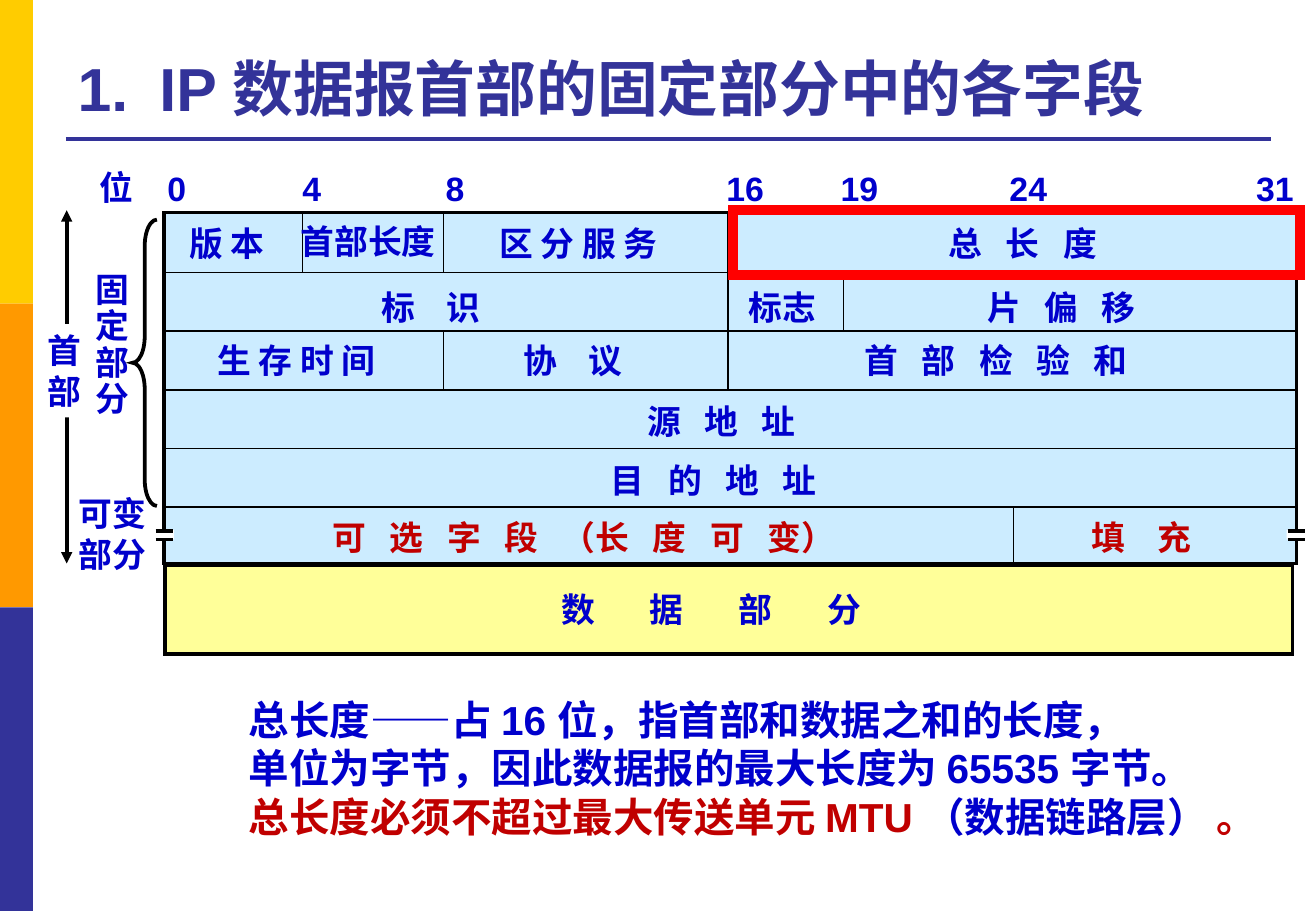
"""Draw the IP datagram header layout with its total length field highlighted."""
from dataclasses import dataclass

from lxml import etree
from pptx import Presentation
from pptx.dml.color import RGBColor
from pptx.enum.shapes import MSO_CONNECTOR, MSO_SHAPE
from pptx.enum.text import MSO_ANCHOR, MSO_AUTO_SIZE
from pptx.oxml.ns import qn
from pptx.util import Inches, Pt

RECTANGLE = MSO_SHAPE.RECTANGLE
LEFT_BRACE = MSO_SHAPE.LEFT_BRACE
STRAIGHT = MSO_CONNECTOR.STRAIGHT
BOTTOM, TOP = MSO_ANCHOR.BOTTOM, MSO_ANCHOR.TOP
FIT_SHAPE, NO_FIT = MSO_AUTO_SIZE.SHAPE_TO_FIT_TEXT, MSO_AUTO_SIZE.NONE

COLORS = {
    "yellow": "FFCC00", "orange": "FF9900", "indigo": "333399", "blue": "0000CC",
    "crimson": "C00000", "red": "FF0000", "sky": "CCECFF", "cream": "FFFF99",
    "black": "000000", "white": "FFFFFF",
}
FONT = "Arial"
SLIDE_W, SLIDE_H = 10.83, 7.5
BIT_LEFT, BIT_W = 1.35, 9.32 / 32
ROW_TOP, ROW_H = 1.76, 0.483
LABEL_H = 0.89
SPACE_SHARE = 0.117


@dataclass(frozen=True)
class Box:
    """A rectangle in inches."""
    left: float
    top: float
    width: float
    height: float


@dataclass(frozen=True)
class Piece:
    """Text of one colour, its gaps widened to a number of spaces."""
    text: str
    color: str = "blue"
    gap: int = 1


@dataclass(frozen=True)
class Label:
    """A caption placed in bits and rows of the header grid."""
    left: float
    top: float
    width: float
    pieces: tuple[Piece, ...]


@dataclass(frozen=True)
class Divider:
    """A line between two grid points."""
    bit: float
    row: float
    end_bit: float
    end_row: float


def on_grid(bit: float, row: float, bits: float, rows: float) -> Box:
    """Convert header bits and rows to inches."""
    return Box(BIT_LEFT + bit * BIT_W, ROW_TOP + row * ROW_H, bits * BIT_W, rows * ROW_H)


def on_slide(left: float, top: float, width: float, height: float) -> Box:
    """Convert shares of the slide to inches."""
    return Box(left * SLIDE_W, top * SLIDE_H, width * SLIDE_W, height * SLIDE_H)


def rgb(name: str) -> RGBColor:
    """Look up a colour."""
    return RGBColor.from_string(COLORS[name])


def draw_shape(slide, box: Box, fill: str = "", line: str = "", weight: float = 1, kind=RECTANGLE):
    """Add a preset shape with sharp corners."""
    shape = slide.shapes.add_shape(
        kind, Inches(box.left), Inches(box.top), Inches(box.width), Inches(box.height))
    shape.shadow.inherit = False
    if fill:
        shape.fill.solid()
        shape.fill.fore_color.rgb = rgb(fill)
    else:
        shape.fill.background()
    if line:
        shape.line.color.rgb = rgb(line)
        shape.line.width = Pt(weight)
        etree.SubElement(shape.line._get_or_add_ln(), qn("a:miter")).set("lim", "800000")
    else:
        shape.line.fill.background()
    return shape


def draw_line(slide, box: Box, weight: float = 1, color: str = "black", arrows: bool = False) -> None:
    """Add a straight line across a box, with arrowheads if asked."""
    line = slide.shapes.add_connector(
        STRAIGHT, Inches(box.left), Inches(box.top),
        Inches(box.left + box.width), Inches(box.top + box.height))
    line.line.color.rgb = rgb(color)
    line.line.width = Pt(weight)
    if arrows:
        stroke = line.line._get_or_add_ln()
        for end in ("a:headEnd", "a:tailEnd"):
            etree.SubElement(stroke, qn(end)).set("type", "triangle")
    etree.SubElement(line._element.spPr, qn("a:effectLst"))


def draw_text(slide, box: Box, lines: tuple[tuple[Piece, ...], ...], size: int = 20,
              spacing: float = 1, wrap: bool = False, anchor=TOP, fit=FIT_SHAPE) -> None:
    """Add a bold text box, one paragraph for each line."""
    frame = slide.shapes.add_textbox(
        Inches(box.left), Inches(box.top), Inches(box.width), Inches(box.height)).text_frame
    frame.word_wrap = wrap
    frame.auto_size = fit
    frame.vertical_anchor = anchor
    for index, pieces in enumerate(lines):
        paragraph = frame.add_paragraph() if index else frame.paragraphs[0]
        paragraph.line_spacing = spacing
        paragraph.font.name = FONT
        paragraph.font.size = Pt(size)
        paragraph.font.bold = True
        one_color = len({piece.color for piece in pieces}) == 1
        if one_color:
            paragraph.font.color.rgb = rgb(pieces[0].color)
        for piece in pieces:
            run = paragraph.add_run()
            run.text = piece.text
            if not one_color:
                run.font.color.rgb = rgb(piece.color)
            if piece.gap > 1:
                tracking = (piece.gap - 1) * SPACE_SHARE * size * 100
                run._r.get_or_add_rPr().set("spc", str(round(tracking)))


def label(left: float, top: float, width: float, text: str, gap: int = 1, color: str = "blue") -> Label:
    """Describe a caption of one piece."""
    return Label(left, top, width, (Piece(text, color, gap),))


LABELS = (
    label(-2.16, -0.91, 1.65, "位"),
    *(label(left, -0.88, 1.24 if len(bit) == 1 else 1.75, bit) for left, bit in (
        (-0.24, "0"), (3.57, "4"), (7.62, "8"), (15.55, "16"),
        (18.78, "19"), (23.55, "24"), (30.52, "31"))),
    label(0.38, 0.06, 2.88, "版 本"),
    label(3.52, 0.02, 4.53, "首部长度"),
    label(9.13, 0.06, 5.36, "区 分 服 务"),
    label(21.83, 0.06, 5.18, "总 长 度", 3),
    label(5.8, 1.14, 3.67, "标 识", 4),
    label(16.17, 1.14, 2.61, "标志"),
    label(22.93, 1.14, 5.18, "片 偏 移", 3),
    label(1.17, 2.05, 5.36, "生 存 时 间"),
    label(9.82, 2.05, 3.67, "协 议", 4),
    label(19.46, 2.05, 8.72, "首 部 检 验 和", 3),
    label(13.32, 3.08, 5.18, "源 地 址", 3),
    label(12.29, 4.1, 6.93, "目 的 地 址", 3),
    Label(4.43, 5.07, 17, (
        Piece("可 选 字 段 ", "crimson", 3), Piece("（", "crimson"),
        Piece("长 度 可 ", "crimson", 3), Piece("变）", "crimson"))),
    label(25.88, 5.07, 3.67, "填 充", 4, "crimson"),
    label(10.88, 6.29, 11.84, "数 据 部 分", 7),
)
DIVIDERS = (
    *(Divider(0, row, 32, row) for row in range(1, 6)),
    Divider(3.91, 0, 3.91, 1), Divider(7.9, 0, 7.9, 1), Divider(7.9, 2, 7.9, 3),
    Divider(15.93, 0, 15.93, 3), Divider(19.2, 1, 19.2, 2), Divider(24, 5, 24, 6),
)
TITLE = ((Piece("1.", "indigo"), Piece(" ", "indigo", 3),
          Piece("IP 数据报首部的固定部分中的各字段", "indigo")),)
NOTE = (
    (Piece("总长度——占 16 位，指首部和数据之和的长度，"),),
    (Piece("单位为字节，因此数据报的最大长度为 65535 字节。"),),
    (Piece("总长度必须不超过最大传送单元 MTU", "crimson"),
     Piece(" （数据链路层） "), Piece("。", "crimson")),
)


def main() -> None:
    """Build the slide and save it."""
    deck = Presentation()
    deck.slide_width, deck.slide_height = Inches(SLIDE_W), Inches(SLIDE_H)
    slide = deck.slides.add_slide(deck.slide_layouts[6])

    for index, stripe in enumerate(("yellow", "orange", "indigo")):
        draw_shape(slide, on_slide(0, index / 3, 0.025, 1 / 3), stripe)
    draw_line(slide, on_slide(0.05, 0.153, 0.916, 0), 2.25, "indigo")
    draw_text(slide, on_slide(0.05, 0.026, 0.915, 0.116), TITLE, 36,
              wrap=True, anchor=BOTTOM, fit=NO_FIT)

    draw_shape(slide, on_grid(0, -0.02, 32, 5.98), "sky", "black", 2)
    draw_shape(slide, on_grid(0.03, 5.98, 31.86, 1.53), "cream", "black", 2.25)
    for line in DIVIDERS:
        draw_line(slide, on_grid(line.bit, line.row, line.end_bit - line.bit, line.end_row - line.row))
    for caption in LABELS:
        draw_text(slide, on_grid(caption.left, caption.top, caption.width, LABEL_H), (caption.pieces,))
    for edge in (-0.27, 31.72):
        draw_shape(slide, on_grid(edge, 5.39, 0.55, 0.16), "white")
        for row in (5.41, 5.55):
            draw_line(slide, on_grid(edge + 0.03, row, 0.49, 0), 2)

    draw_line(slide, on_grid(-2.75, -0.06, 0, 6.02), 2.25, arrows=True)
    draw_shape(slide, on_grid(-3.64, 1.88, 1.65, 1.59), "white")
    draw_text(slide, on_grid(-3.64, 1.88, 1.65, 1.59), tuple((Piece(char),) for char in "首部"))
    draw_text(slide, on_grid(-2.27, 0.91, 1.65, 2.71),
              tuple((Piece(char),) for char in "固定部分"), spacing=0.9)
    draw_text(slide, on_grid(-2.75, 4.66, 2.61, 1.59), ((Piece("可变"),), (Piece("部分"),)))
    brace = draw_shape(slide, on_grid(-0.89, 0.1, 0.69, 4.88), "", "black", 2.25, LEFT_BRACE)
    brace.adjustments[0] = 1.08

    draw_text(slide, on_slide(0.18, 0.756, 0.82, 0.175), NOTE, 24, wrap=True)
    draw_shape(slide, on_grid(16.07, -0.06, 16.03, 1.1), "", "red", 6)
    deck.save("out.pptx")


if __name__ == "__main__":
    main()
